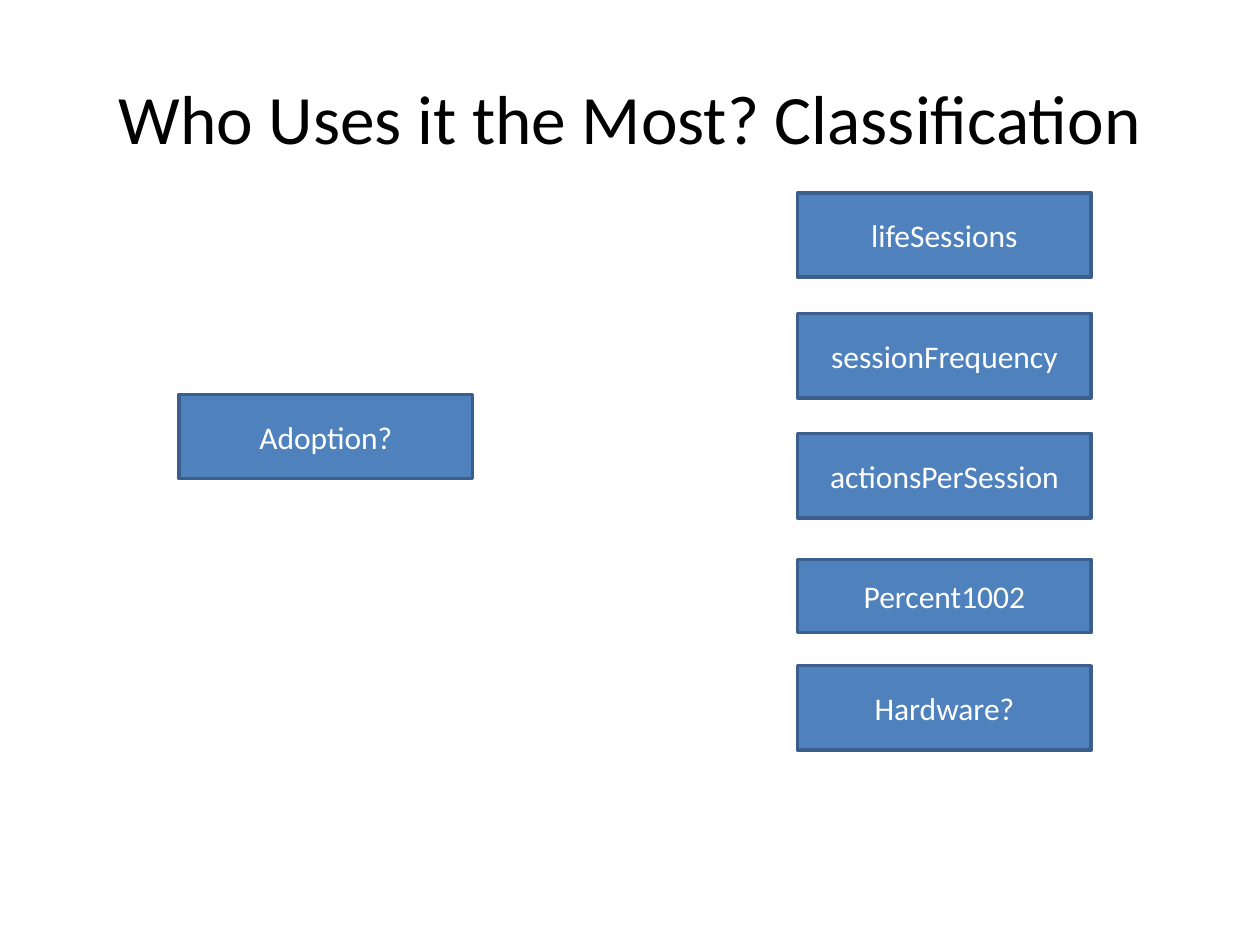
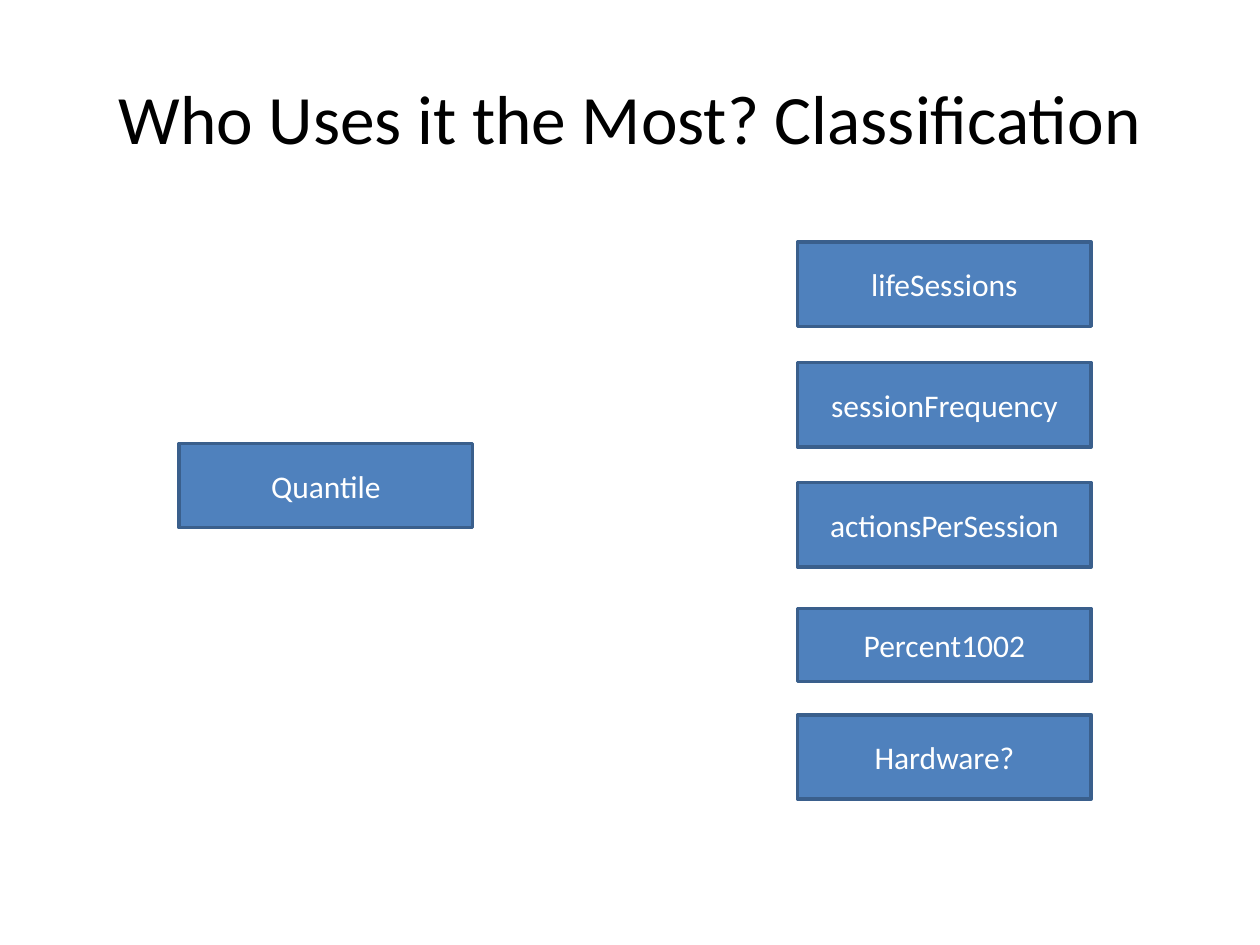
from pptx import Presentation
from pptx.dml.color import RGBColor
from pptx.enum.shapes import MSO_SHAPE as Preset
from pptx.enum.text import MSO_ANCHOR as Anchor, PP_ALIGN as Align
from pptx.util import Cm, Pt

BLACK = RGBColor(0x00, 0x00, 0x00)
WHITE = RGBColor(0xFF, 0xFF, 0xFF)
BLUE = RGBColor(0x4F, 0x81, 0xBD)
DARK_BLUE = RGBColor(0x3A, 0x5F, 0x8C)

HEADING = "Who Uses it the Most? Classification"
HEADING_FONT = {"name": "Calibri", "size": Pt(39.6)}
LABEL_FONT = {"name": "Calibri", "size": Pt(18)}
FRAME = {"word_wrap": True, "vertical_anchor": Anchor.MIDDLE}

BOX_WIDTH = Cm(5.92)
BOX_HEIGHT = Cm(1.7)
SHORT_HEIGHT = Cm(1.47)
DIAGRAM_LEFT = Cm(3.61)
PREDICTOR_OFFSET = Cm(12.47)
OUTCOME_DROP = Cm(4.06)

PREDICTORS = [
    ("lifeSessions", Cm(0), BOX_HEIGHT),
    ("sessionFrequency", Cm(2.43), BOX_HEIGHT),
    ("actionsPerSession", Cm(4.85), BOX_HEIGHT),
    ("Percent1002", Cm(7.39), SHORT_HEIGHT),
    ("Hardware?", Cm(9.53), BOX_HEIGHT),
]
DIAGRAMS = [("Adoption?", Cm(3.89)), ("Quantile", Cm(4.88))]


def apply_format(target, values):
    for attribute, value in values.items():
        setattr(target, attribute, value)


def write_centred(holder, wording, font, color):
    frame = holder.text_frame
    apply_format(frame, FRAME)
    paragraph = frame.paragraphs[0]
    paragraph.alignment = Align.CENTER
    run = paragraph.add_run()
    run.text = wording
    apply_format(run.font, font)
    run.font.color.rgb = color


def add_heading(slide, left, top, width, height):
    heading = slide.shapes.add_textbox(left, top, width, height)
    write_centred(heading, HEADING, HEADING_FONT, BLACK)


def add_variable(slide, name, left, top, height=BOX_HEIGHT):
    variable = slide.shapes.add_shape(Preset.RECTANGLE, left, top, BOX_WIDTH, height)
    variable.shadow.inherit = False
    variable.fill.solid()
    variable.fill.fore_color.rgb = BLUE
    variable.line.color.rgb = DARK_BLUE
    variable.line.width = Pt(2)
    write_centred(variable, name, LABEL_FONT, WHITE)


def add_diagram(slide, outcome, left, top):
    add_variable(slide, outcome, left, top + OUTCOME_DROP)
    for name, drop, height in PREDICTORS:
        add_variable(slide, name, left + PREDICTOR_OFFSET, top + drop, height)


def main():
    deck = Presentation()
    apply_format(deck, {"slide_width": Cm(25.4), "slide_height": Cm(19.05)})
    for outcome, top in DIAGRAMS:
        slide = deck.slides.add_slide(deck.slide_layouts[6])
        add_heading(slide, Cm(1.27), Cm(0.76), Cm(22.86), Cm(3.18))
        add_diagram(slide, outcome, DIAGRAM_LEFT, top)
    deck.save("out.pptx")


if __name__ == "__main__":
    main()
